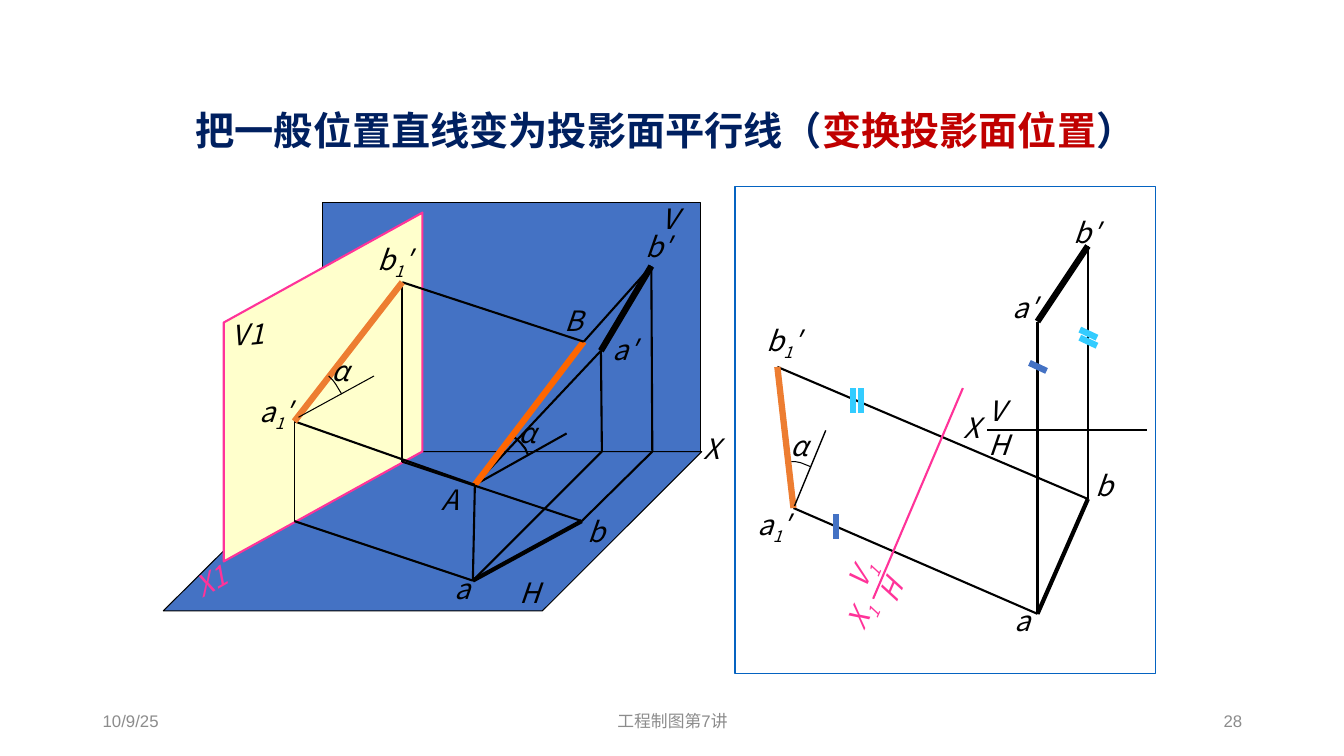
from dataclasses import dataclass
from typing import Optional

from lxml import etree
from pptx import Presentation
from pptx import util as u
from pptx.dml.color import RGBColor
from pptx.enum import shapes, text
from pptx.oxml import ns

PX = 9144
FACE = "Noto Sans CJK SC"
BLACK, PINK, ORANGE, BLUE, CYAN = "000000", "FF3399", "ED7D31", "4472C4", "33CCFF"
LABEL_HEIGHT = 43
INSET, SPACE = 10, 6

Point = tuple[int, int]


@dataclass
class Segment:
    start: Point
    end: Point
    weight: float = 1.5
    color: str = BLACK


@dataclass
class Outline:
    points: list[Point]
    weight: float = 0.75
    color: str = BLACK
    fill: Optional[str] = None


@dataclass
class Panel:
    box: tuple[int, int, int, int]
    color: str
    fill: Optional[str] = None


@dataclass
class Label:
    runs: tuple[str, ...]
    left: int
    top: int
    width: int = 67
    indent: int = 0
    color: str = BLACK
    angle: float = 0
    wrap: bool = True


@dataclass
class FooterItem:
    words: str
    left: int
    width: int
    align: text.PP_ALIGN


def rgb(color: str) -> RGBColor:
    return RGBColor.from_string(color)


def apply(target, values: dict) -> None:
    for name, value in values.items():
        setattr(target, name, value)


def add_run(paragraph, words: str, color: str, **values):
    run = paragraph.add_run()
    run.text = words
    apply(run.font, values)
    run.font.color.rgb = rgb(color)
    properties = run._r.get_or_add_rPr()
    etree.SubElement(properties, ns.qn("a:ea")).set("typeface", FACE)
    return properties


def finish(shape, item) -> None:
    shape.shadow.inherit = False
    if item.fill:
        shape.fill.solid()
        shape.fill.fore_color.rgb = rgb(item.fill)
    else:
        shape.fill.background()
    shape.line.color.rgb = rgb(item.color)


def draw_segment(slide, item: Segment) -> None:
    ends = [PX * value for value in item.start + item.end]
    line = slide.shapes.add_connector(shapes.MSO_CONNECTOR.STRAIGHT, *ends)
    line.line.width = u.Pt(item.weight)
    line.line.color.rgb = rgb(item.color)
    etree.SubElement(line._element.spPr, ns.qn("a:effectLst"))


def draw_outline(slide, item: Outline) -> None:
    builder = slide.shapes.build_freeform(*item.points[0], scale=PX)
    builder.add_line_segments(item.points[1:], close=item.fill is not None)
    shape = builder.convert_to_shape()
    finish(shape, item)
    shape.line.width = u.Pt(item.weight)


def draw_panel(slide, item: Panel) -> None:
    box = [PX * value for value in item.box]
    shape = slide.shapes.add_shape(shapes.MSO_SHAPE.RECTANGLE, *box)
    finish(shape, item)
    shape.line.width = u.Pt(0.75)


def draw_label(slide, item: Label) -> None:
    box = [PX * v for v in (item.left, item.top, item.width, LABEL_HEIGHT)]
    shape = slide.shapes.add_textbox(*box)
    shape.rotation = item.angle
    frame = shape.text_frame
    apply(frame, {"word_wrap": item.wrap, "margin_left": PX * (INSET + item.indent),
                  "auto_size": text.MSO_AUTO_SIZE.SHAPE_TO_FIT_TEXT})
    for place, words in enumerate(item.runs):
        properties = add_run(frame.paragraphs[0], words, item.color,
                             name=FACE, size=u.Pt(20), italic=True)
        if place == 1:
            properties.set("baseline", "-25000")


def draw_footer(slide, item: FooterItem) -> None:
    box = [PX * v for v in (item.left, 695, item.width, 40)]
    frame = slide.shapes.add_textbox(*box).text_frame
    apply(frame, {"word_wrap": True, "vertical_anchor": text.MSO_ANCHOR.MIDDLE})
    frame.paragraphs[0].alignment = item.align
    add_run(frame.paragraphs[0], item.words, "8C8C8C", name="Arial", size=u.Pt(12))


def draw_title(slide) -> None:
    title = slide.shapes.title
    apply(title, {"left": 184 * PX, "top": 100 * PX, "width": 992 * PX, "height": 75 * PX})
    frame = title.text_frame
    apply(frame, {"word_wrap": True, "auto_size": text.MSO_AUTO_SIZE.NONE,
                  "vertical_anchor": text.MSO_ANCHOR.TOP})
    heading = frame.paragraphs[0]
    heading.alignment = text.PP_ALIGN.LEFT
    for words, color in (("把一般位置直线变为投影面平行线（", "002060"),
                         ("变换投影面位置", "C00000"), ("）", "002060")):
        add_run(heading, words, color, name=FACE, size=u.Pt(28), bold=True)


A, B = (471, 481), (579, 339)
a, b = (469, 576), (577, 517)
a_front, b_front = (596, 348), (646, 264)
a_axis, b_axis = (597, 448), (647, 448)
a_new, b_new = (292, 418), (399, 280)
a_new_axis, b_new_axis = (292, 517), (399, 458)

SPACE_VIEW = [
    Panel((320, 201, 375, 247), BLACK, BLUE),
    Outline([(321, 448), (162, 606), (538, 606), (696, 448)], fill=BLUE),
    Label(("V",), 646, 195, 51),
    Label(("H",), 505, 566, 42),
    Label(("X",), 688, 423, 50),
    Segment(b_front, b_axis),
    Segment(a_front, a_axis),
    Segment(a, b, 3),
    Segment(b_axis, b),
    Segment(a_axis, a),
    Label(("A",), 428, 474, 42),
    Label(("a′",), 586, 325, 90, 2 * SPACE),
    Label(("B",), 550, 296, 42),
    Label(("b′",), 630, 223),
    Segment(b_front, a_front, 4.5),
    Label(("α",), 504, 407, 45, wrap=False),
    Label(("a",), 441, 562),
    Label(("b",), 561, 506, 67, 2 * SPACE),
    Segment(b_front, B),
    Segment(a_front, A),
    Segment(A, a),
    Segment(A, (562, 430)),
    Outline([(507, 432), (513, 436), (517, 440), (521, 445), (524, 452)], 1.5),
    Segment(B, A, 4.5, "FF6600"),
]

NEW_PLANE = [
    Outline([(222, 557), (419, 448), (419, 211), (222, 320)], 1.5, PINK, "FFFFCC"),
    Label(("V1",), 220, 309, angle=354.2),
    Label(("X1",), 181, 547, 83, color=PINK, angle=330.3),
    Label(("a", "1", "′"), 235, 386, 89, 2 * SPACE),
    Segment(b_new, b_new_axis),
    Label(("b", "1", "′"), 352, 236, 88, 2 * SPACE),
    Segment(B, b_new),
    Segment(A, a_new),
    Segment(a, a_new_axis),
    Segment(b, b_new_axis),
    Segment(a_new, a_new_axis, 0.75),
    Segment(b_new, a_new, 4.5, ORANGE),
    Segment((296, 414), (371, 373), 0.75),
    Outline([(326, 373), (330, 377), (333, 381), (336, 386), (339, 391)]),
    Label(("α",), 319, 346, 38, wrap=False),
]

flat_a, flat_b = (1029, 609), (1079, 495)
flat_a_front, flat_b_front = (1029, 319), (1079, 244)
flat_a_new, flat_b_new = (787, 504), (771, 364)

FLAT_VIEW = [
    Segment(flat_b_new, flat_b),
    Segment(flat_a_new, flat_a),
    Label(("a", "1", "′"), 741, 499, 89),
    Label(("b", "1", "′"), 750, 316, 89),
    Segment(flat_b_new, flat_a_new, 4.5, ORANGE),
    Segment((788, 502), (819, 427), 1),
    Outline([(785, 458), (789, 458), (794, 459), (799, 461), (804, 463)]),
    Label(("α",), 774, 420, 45, wrap=False),
    Segment((955, 385), (866, 594), 1.5, PINK),
    Label(("X", "1"), 819, 571, 83, color=PINK, angle=293.9),
    Label(("V", "1"), 827, 543, 57, color=PINK, angle=293.3),
    Label(("H",), 862, 564, 42, color=PINK, angle=293.3),
    Segment((979, 427), (1138, 427)),
    Segment(flat_b_front, flat_b),
    Segment(flat_a_front, flat_a),
    Segment(flat_b, flat_a, 3),
    Label(("b",), 1071, 460, 67, SPACE),
    Label(("a",), 996, 594),
    Label(("b′",), 1043, 209, 67, 2 * SPACE),
    Label(("a′",), 982, 283, 67, 2 * SPACE),
    Label(("X",), 946, 402, 50),
    Segment(flat_b_front, flat_a_front, 4.5),
    Label(("V",), 971, 385, 42),
    Label(("H",), 971, 419, 42),
    Panel((729, 185, 417, 483), "0563C1"),
]

UPRIGHT, SLANTED = (0, 25), (17, 8)
EQUAL_MARKS = [
    Segment((x, y), (x + run, y + rise), 4.5, color)
    for x, y, (run, rise), color in (
        (846, 385, UPRIGHT, CYAN), (854, 385, UPRIGHT, CYAN), (829, 510, UPRIGHT, BLUE),
        (1021, 360, SLANTED, BLUE), (1071, 327, SLANTED, CYAN), (1071, 335, SLANTED, CYAN))
]

FOOTER = [
    FooterItem("10/9/25", 92, 300, text.PP_ALIGN.LEFT),
    FooterItem("工程制图第7讲", 442, 450, text.PP_ALIGN.CENTER),
    FooterItem("28", 942, 300, text.PP_ALIGN.RIGHT),
]

DRAW = {Segment: draw_segment, Outline: draw_outline, Panel: draw_panel,
        Label: draw_label, FooterItem: draw_footer}


def main() -> None:
    deck = Presentation()
    apply(deck, {"slide_width": 1333 * PX, "slide_height": 750 * PX})
    slide = deck.slides.add_slide(deck.slide_layouts[5])
    draw_title(slide)
    for item in FOOTER + SPACE_VIEW + NEW_PLANE + FLAT_VIEW + EQUAL_MARKS:
        DRAW[type(item)](slide, item)
    deck.save("out.pptx")


if __name__ == "__main__":
    main()
